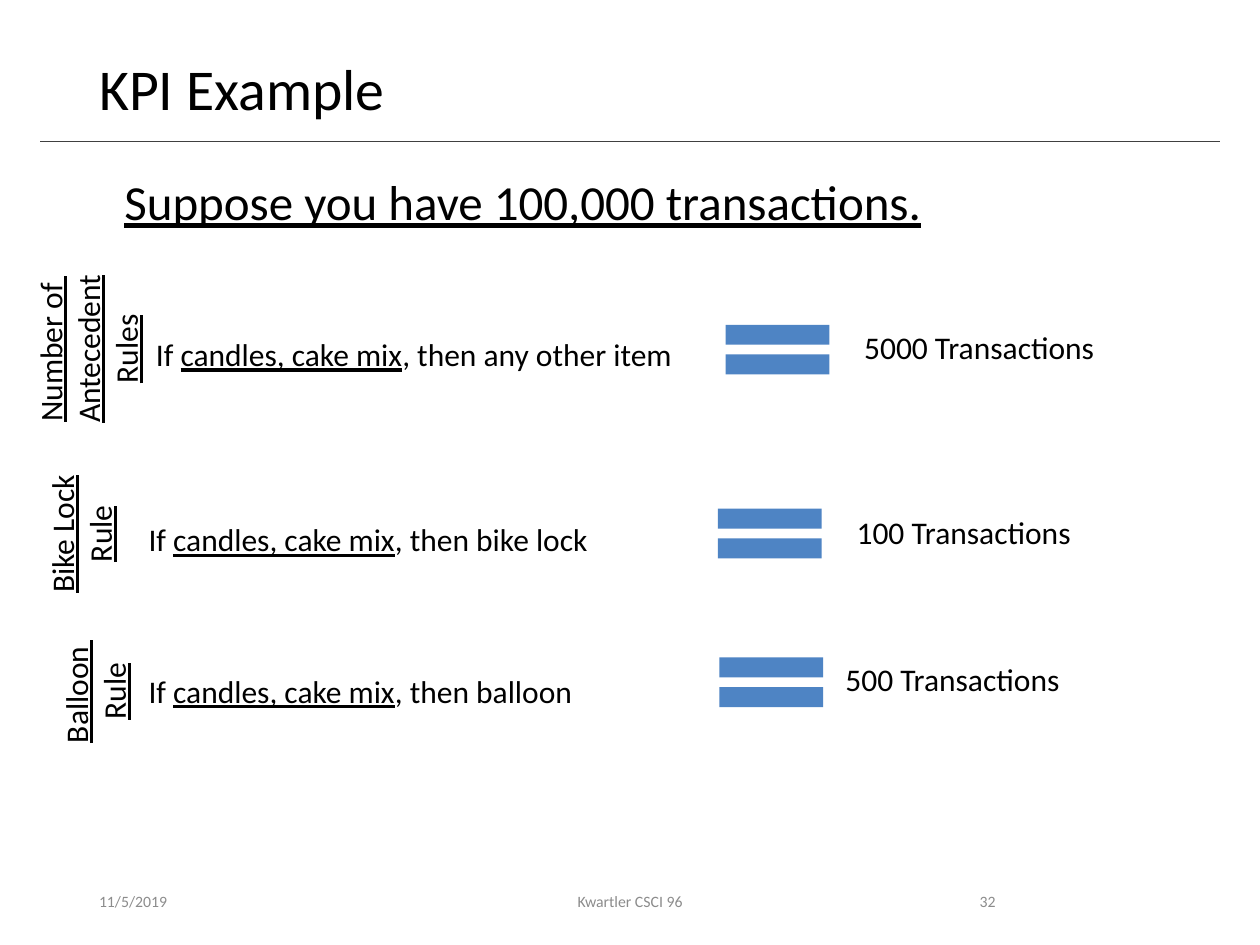
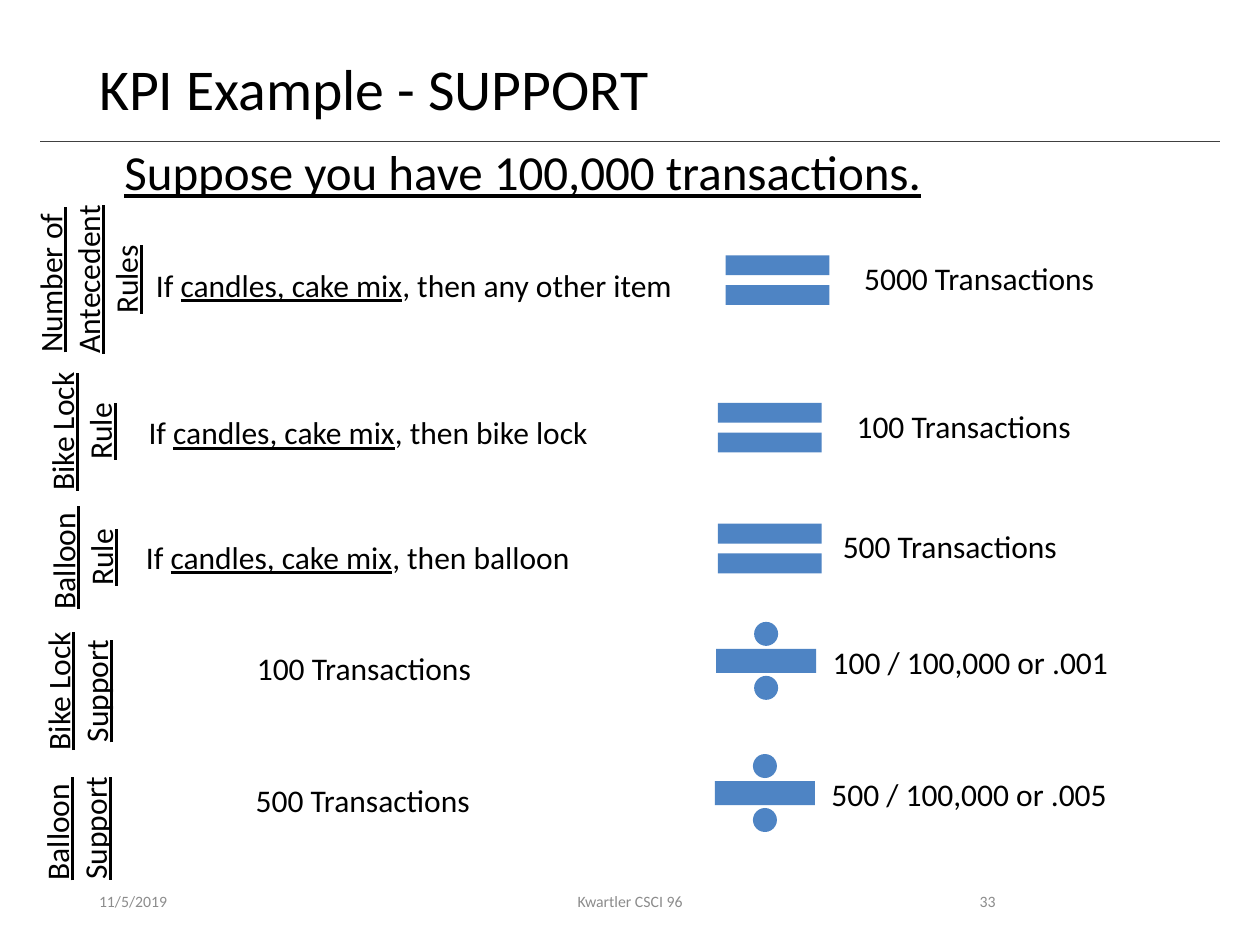
from dataclasses import dataclass

from pptx import Presentation
from pptx.dml.color import RGBColor
from pptx.enum import shapes, text
from pptx.oxml.ns import qn
from pptx.util import Pt

FONT = "Calibri"
BLACK = RGBColor(0x00, 0x00, 0x00)
GRAY = RGBColor(0x8C, 0x8C, 0x8C)
BLUE = RGBColor(0x4E, 0x84, 0xC4)
RULE = RGBColor(0x40, 0x40, 0x40)
EQUAL = (shapes.MSO_SHAPE.MATH_EQUAL, 80.6, 48.2)
DIVIDE = (shapes.MSO_SHAPE.MATH_DIVIDE, 77.8, 58.3)
LEFT, CENTER, RIGHT = text.PP_ALIGN.LEFT, text.PP_ALIGN.CENTER, text.PP_ALIGN.RIGHT
TITLE_ONLY = 5


@dataclass
class RowKind:
    label: tuple
    phrase: tuple  # spans; every second one is underlined
    result: str
    sign: tuple
    widths: tuple  # label, phrase, result


def rule_phrase(item):
    return "If ", "candles, cake mix", f", then {item}"


ANTECEDENT = RowKind(("Number of ", "Antecedent", "Rules"), rule_phrase("any other item"),
                     "5000 Transactions", EQUAL, (100, 313.2, 147.6))
BIKE_RULE = RowKind(("Bike Lock", "Rule"), rule_phrase("bike lock"),
                    "100 Transactions", EQUAL, (82.8, 268.6, 138.2))
BALLOON_RULE = RowKind(("Balloon ", "Rule"), rule_phrase("balloon"),
                       "500 Transactions", EQUAL, (74.2, 259.2, 138.2))
BIKE_SUPPORT = RowKind(("Bike Lock", "Support"), ("100 Transactions",),
                       "100 / 100,000 or .001", DIVIDE, (82.8, 138.2, 173.5))
BALLOON_SUPPORT = RowKind(("Balloon ", "Support"), ("500 Transactions",),
                          "500 / 100,000 or .005", DIVIDE, (74.2, 138.2, 173.5))

# Each row: kind, then (left, top) of its label, phrase, sign and result
COUNT_ROWS = [
    (ANTECEDENT, (0.7, 162.7), (82, 188), (404, 175.7), (486.7, 183.6)),
    (BIKE_RULE, (5, 279.4), (77.8, 293.8), (399.6, 280.8), (482.4, 289.4)),
    (BALLOON_RULE, (17.3, 369.4), (77.8, 380.2), (400.4, 365.8), (476, 373.7)),
]
SUPPORT_ROWS = [
    (ANTECEDENT, (0.7, 123.1), (82, 148.3), (404, 136), (486.7, 144.7)),
    (BIKE_RULE, (5, 221), (77.8, 232.6), (399.6, 220.3), (482.4, 229)),
    (BALLOON_RULE, (10, 293), (76.3, 303.8), (399.6, 289.4), (474.5, 297.4)),
    (BIKE_SUPPORT, (2.9, 369.4), (139.7, 367.2), (398.9, 348.5), (468.7, 363.6)),
    (BALLOON_SUPPORT, (6.5, 447.8), (139, 442.8), (398.2, 424), (468, 439.2)),
]


def style(paragraph, size, color=BLACK, align=LEFT):
    paragraph.alignment = align
    font = paragraph.font
    font.name, font.size, font.color.rgb = FONT, Pt(size), color


def add_text(slide, position, width, height, lines, size, color=BLACK, align=LEFT):
    """Add a growing, unwrapped box; each line is a tuple of (words, underlined) spans."""
    box = slide.shapes.add_textbox(*map(Pt, (*position, width, height)))
    frame = box.text_frame
    frame.word_wrap = False
    frame.auto_size = text.MSO_AUTO_SIZE.SHAPE_TO_FIT_TEXT
    for index, spans in enumerate(lines):
        paragraph = frame.add_paragraph() if index else frame.paragraphs[0]
        style(paragraph, size, color, align)
        for words, underlined in spans:
            span = paragraph.add_run()
            span.text = words
            if underlined:
                span.font.underline = True
    return box


def add_label(slide, position, width, lines):
    box = add_text(slide, position, width, 7.2 + 22 * len(lines),
                   [((line, True),) for line in lines], 18, align=CENTER)
    box.rotation = 270


def add_sign(slide, position, sign):
    preset, width, height = sign
    shape = slide.shapes.add_shape(preset, *map(Pt, (*position, width, height)))
    shape.shadow.inherit = False
    shape.fill.solid()
    shape.fill.fore_color.rgb = BLUE
    shape.line.fill.background()


def add_row(slide, kind, label_at, phrase_at, sign_at, result_at):
    label_width, phrase_width, result_width = kind.widths
    add_label(slide, label_at, label_width, kind.label)
    spans = [(words, index % 2 == 1) for index, words in enumerate(kind.phrase)]
    add_text(slide, phrase_at, phrase_width, 29, [spans], 18)
    add_sign(slide, sign_at, kind.sign)
    add_text(slide, result_at, result_width, 29, [((kind.result, False),)], 18)


def add_title(slide, words):
    title = slide.shapes.title
    title.left, title.top, title.width, title.height = map(Pt, (49.5, 28.8, 621, 46.8))
    title.text_frame.text = words
    title.text_frame.vertical_anchor = text.MSO_ANCHOR.MIDDLE
    paragraph = title.text_frame.paragraphs[0]
    style(paragraph, 33)
    paragraph.line_spacing = 0.9


def add_title_rule(slide):
    line = slide.shapes.add_connector(shapes.MSO_CONNECTOR.STRAIGHT,
                                      Pt(23), Pt(80.6), Pt(697), Pt(80.6))
    line.line.color.rgb = RULE
    line.line.width = Pt(0.5)
    properties = line._element.spPr
    properties.append(properties.makeelement(qn("a:effectLst"), {}))


def add_footer(slide, number):
    for words, left, width, align in (("11/5/2019", 49.5, 162, LEFT),
                                      ("Kwartler CSCI 96", 238.5, 243, CENTER),
                                      (str(number), 508.5, 67.5, RIGHT)):
        box = add_text(slide, (left, 500.4), width, 28.8, [((words, False),)], 9, GRAY, align)
        box.text_frame.auto_size = text.MSO_AUTO_SIZE.NONE
        box.text_frame.word_wrap = True
        box.text_frame.vertical_anchor = text.MSO_ANCHOR.MIDDLE


def add_kpi_slide(deck, title, number, premise_top, rows):
    slide = deck.slides.add_slide(deck.slide_layouts[TITLE_ONLY])
    add_title(slide, title)
    add_title_rule(slide)
    add_footer(slide, number)
    add_text(slide, (64, premise_top), 476, 41,
             [(("Suppose you have 100,000 transactions.", True),)], 28)
    for row in rows:
        add_row(slide, *row)


def main():
    deck = Presentation()
    deck.slide_width, deck.slide_height = Pt(720), Pt(540)
    add_kpi_slide(deck, "KPI Example", 32, 94.5, COUNT_ROWS)
    add_kpi_slide(deck, "KPI Example - SUPPORT", 33, 77.6, SUPPORT_ROWS)
    deck.save("out.pptx")


if __name__ == "__main__":
    main()
